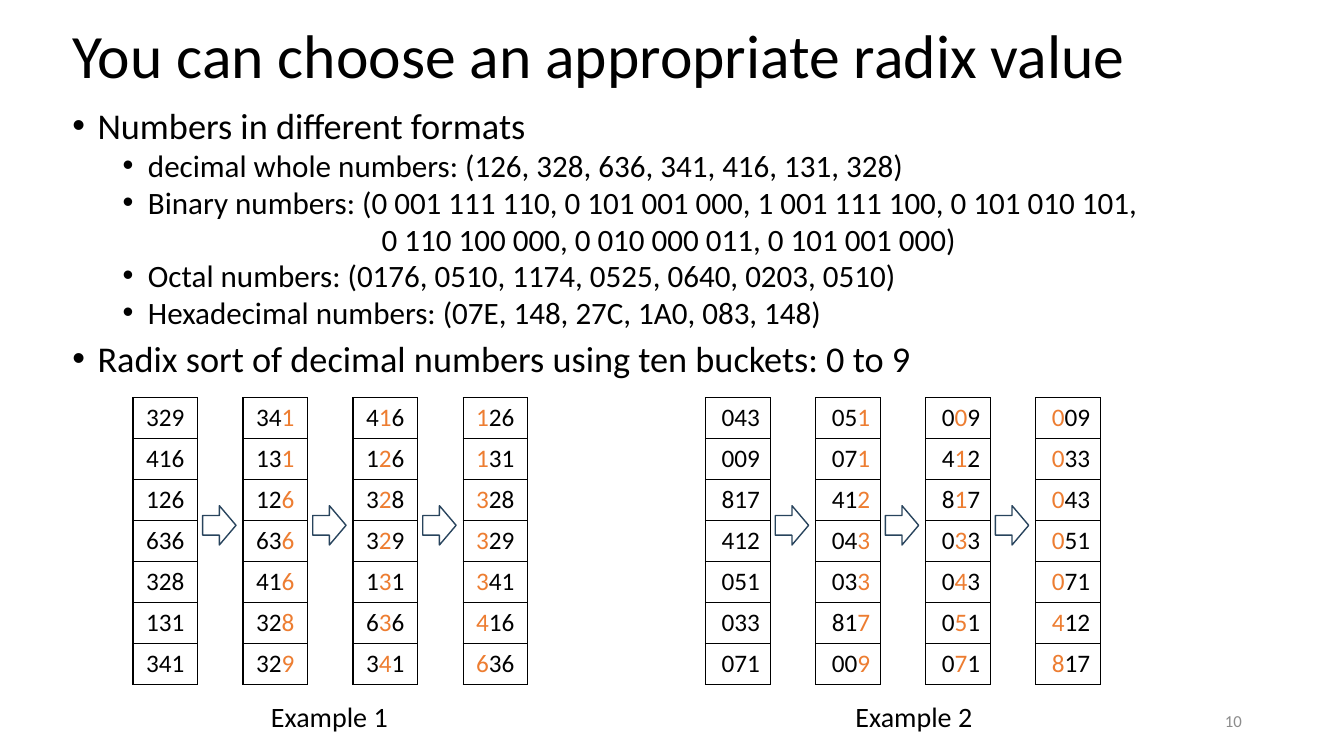
import pptx
import pptx.util
import pptx.dml.color
import pptx.enum.shapes
import pptx.enum.text
import pptx.oxml
import pptx.oxml.ns

Pt = pptx.util.Pt
ALIGN = pptx.enum.text.PP_ALIGN
ANCHOR = pptx.enum.text.MSO_ANCHOR
BLACK, ORANGE, GREY, NAVY = "000000", "ED7D31", "8C8C8C", "28445D"


def add_span(para, text, size=18, color=BLACK):
    span = para.add_run()
    span.text = text
    span.font.size = Pt(size)
    span.font.name = "Calibri"
    span.font.color.rgb = pptx.dml.color.RGBColor.from_string(color)


def add_text(page, text, left, top, width, height, size, color=BLACK,
             align=ALIGN.LEFT, anchor=ANCHOR.TOP, spacing=1.0, wrap=True):
    frame = page.shapes.add_textbox(Pt(left), Pt(top), Pt(width), Pt(height)).text_frame
    frame.word_wrap = wrap
    frame.vertical_anchor = anchor
    para = frame.paragraphs[0]
    para.alignment = align
    para.line_spacing = spacing
    add_span(para, text, size=size, color=color)


deck = pptx.Presentation()
deck.slide_width, deck.slide_height = Pt(960), Pt(540)
page = deck.slides.add_slide(deck.slide_layouts[6])

# Title and page number
add_text(page, "You can choose an appropriate radix value", 44.6, 13, 862, 57.6,
         size=44, anchor=ANCHOR.MIDDLE, spacing=0.9)
add_text(page, "10", 678.2, 500.4, 216, 28.8, size=12, color=GREY,
         align=ALIGN.RIGHT, anchor=ANCHOR.MIDDLE)

# Bullet list: text, level, left margin, bulleted
bullets = [
    ("Numbers in different formats", 0, 18, True),
    ("decimal whole numbers: (126, 328, 636, 341, 416, 131, 328)", 1, 54, True),
    ("Binary numbers: (0 001 111 110, 0 101 001 000, 1 001 111 100, 0 101 010 101,", 1, 54, True),
    ("0 110 100 000, 0 010 000 011, 0 101 001 000)", 1, 221, False),
    ("Octal numbers: (0176, 0510, 1174, 0525, 0640, 0203, 0510)", 1, 54, True),
    ("Hexadecimal numbers: (07E, 148, 27C, 1A0, 083, 148)", 1, 54, True),
    ("Radix sort of decimal numbers using ten buckets: 0 to 9", 0, 18, True),
]
frame = page.shapes.add_textbox(Pt(44.6), Pt(76.3), Pt(874.8), Pt(207.4)).text_frame
frame.word_wrap = True
for index, (text, level, margin, bulleted) in enumerate(bullets):
    para = frame.add_paragraph() if index else frame.paragraphs[0]
    para.level = level
    para.line_spacing = 0.8
    para.space_before = Pt(5 if level else 10)
    add_span(para, text, size=22.2 if level else 25.9)
    props = para._p.get_or_add_pPr()
    props.set("marL", str(Pt(margin)))
    props.set("indent", str(Pt(-18 if bulleted else 0)))
    if bulleted:
        for xml in ('<a:buFont %s typeface="Arial"/>', '<a:buChar %s char="•"/>'):
            props.append(pptx.oxml.parse_xml(xml % pptx.oxml.ns.nsdecls("a")))

# Radix sort examples: each column is the list after one more pass
examples = [
    ("Example 1", 95, 186.5, ALIGN.CENTER, [
        "329 416 126 636 328 131 341",
        "341 131 126 636 416 328 329",
        "416 126 328 329 131 636 341",
        "126 131 328 329 341 416 636",
    ]),
    ("Example 2", 504, 604, ALIGN.RIGHT, [
        "043 009 817 412 051 033 071",
        "051 071 412 043 033 817 009",
        "009 412 817 033 043 051 071",
        "009 033 043 051 071 412 817",
    ]),
]
TABLE_TOP, COLUMN_STEP, CELL_WIDTH, CELL_HEIGHT = 284.2, 78.6, 46.1, 29.25
BORDER = ('<a:%s %s w="12700"><a:solidFill><a:srgbClr val="' + BLACK
          + '"/></a:solidFill></a:%s>')

for caption, start, caption_left, align, passes in examples:
    for step, column in enumerate(passes):
        left = start + step * COLUMN_STEP
        numbers = column.split()
        table = page.shapes.add_table(len(numbers), 1, Pt(left), Pt(TABLE_TOP), Pt(CELL_WIDTH),
                                      Pt(CELL_HEIGHT * len(numbers))).table
        table.first_row = table.horz_banding = False
        for row, number in enumerate(numbers):
            table.rows[row].height = Pt(CELL_HEIGHT)
            cell = table.cell(row, 0)
            para = cell.text_frame.paragraphs[0]
            para.alignment = align
            # The digit sorted in this pass is orange
            sorted_digit = 3 - step
            for text, color in ((number[:sorted_digit], BLACK),
                                (number[sorted_digit:sorted_digit + 1], ORANGE),
                                (number[sorted_digit + 1:], BLACK)):
                if text:
                    add_span(para, text, color=color)
            props = cell._tc.get_or_add_tcPr()
            for side in ("lnL", "lnR", "lnT", "lnB"):
                props.append(pptx.oxml.parse_xml(
                    BORDER % (side, pptx.oxml.ns.nsdecls("a"), side)))
            cell.fill.background()

        # Arrow to the next pass
        if step < len(passes) - 1:
            arrow = page.shapes.add_shape(pptx.enum.shapes.MSO_SHAPE.RIGHT_ARROW,
                                          Pt(left + 49.8), Pt(361.2), Pt(23.8), Pt(28.1))
            arrow.shadow.inherit = False
            arrow.fill.background()
            arrow.line.color.rgb = pptx.dml.color.RGBColor.from_string(NAVY)
            arrow.line.width = Pt(1)

    add_text(page, caption, caption_left, 496.1, 98.6, 31.7, size=20, wrap=False)

deck.save("out.pptx")
